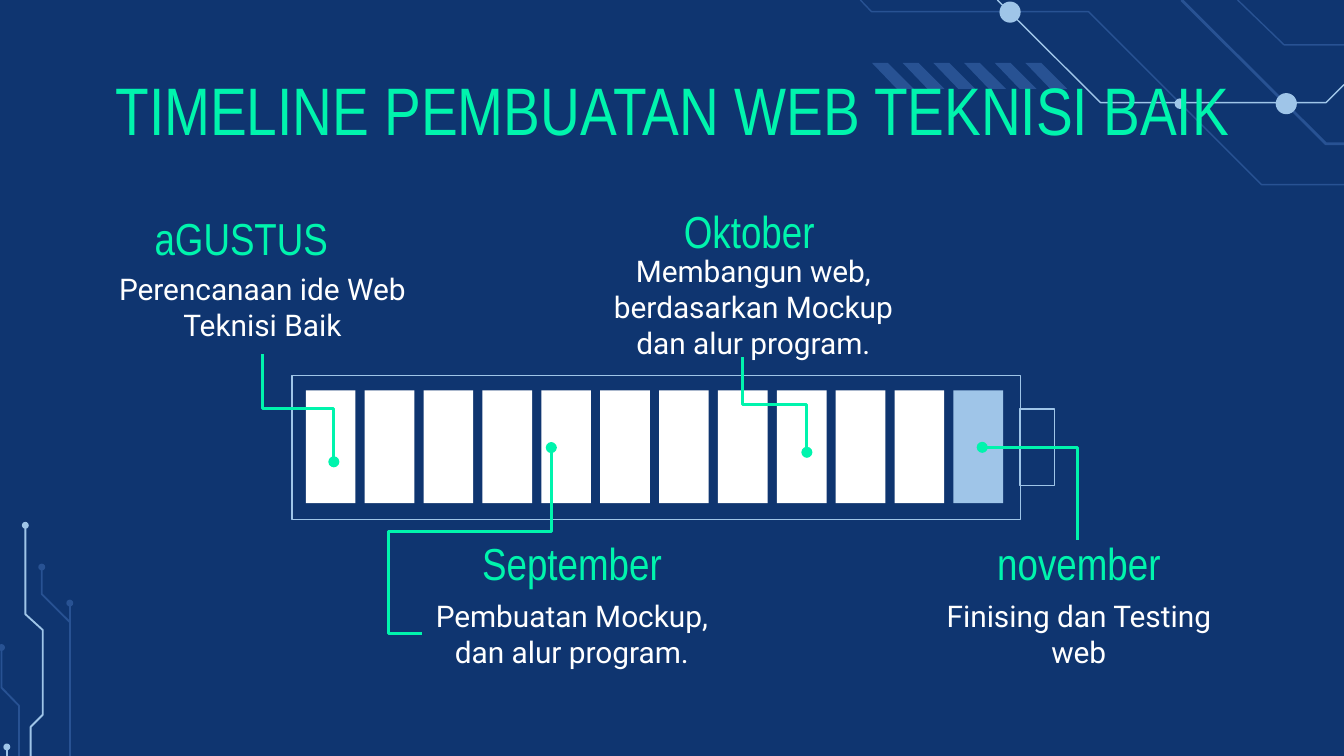
from dataclasses import dataclass

from lxml import etree
from pptx import Presentation
from pptx.dml.color import RGBColor
from pptx.enum.shapes import MSO_CONNECTOR, MSO_SHAPE
from pptx.enum.text import MSO_ANCHOR, PP_ALIGN
from pptx.oxml.ns import qn
from pptx.util import Cm, Pt

RECTANGLE, OVAL = MSO_SHAPE.RECTANGLE, MSO_SHAPE.OVAL
ELBOW = MSO_CONNECTOR.ELBOW
CENTER = PP_ALIGN.CENTER
TOP, MIDDLE = MSO_ANCHOR.TOP, MSO_ANCHOR.MIDDLE

COLOURS = {
    "navy": "0F3570",
    "dark": "285293",
    "light": "9FC5E8",
    "green": "00F4AD",
    "white": "FFFFFF",
}
HEADING_FONT, BODY_FONT = "Arial Narrow", "Roboto"
WIDTH, HEIGHT = 25.4, 14.29


@dataclass
class Trace:
    points: list[tuple[float, float]]
    colour: str
    width: float
    start_dot: bool = False


@dataclass
class Dot:
    x: float
    y: float
    size: float
    colour: str = "light"


@dataclass
class Month:
    name: str
    task: str
    width: float
    name_at: tuple[float, float]
    task_at: tuple[float, float]


@dataclass
class Link:
    left: float
    top: float
    width: float
    height: float
    rotation: int
    preset: str
    bends: tuple[float, ...] = ()


TRACES = [
    Trace([(22.33, 0), (25.06, 2.72), (WIDTH, 2.72)], "dark", 1.5),
    Trace([(18.85, 0), (20.8, 1.94), (25.06, 1.94), (WIDTH, 1.6)], "light", 0.75),
    Trace([(16.26, 0), (16.47, 0.22), (20.57, 0.22), (23.84, 3.49), (WIDTH, 3.49)], "dark", 0.75),
    Trace([(23.39, 0), (24.27, 0.85), (WIDTH, 0.85)], "dark", 0.75),
    Trace([(0.48, 9.93), (0.48, 11.61), (0.81, 11.91), (0.81, 13.51), (0.58, 13.74), (0.58, HEIGHT)],
          "light", 1, True),
    Trace([(1.32, 11.4), (1.32, HEIGHT)], "dark", 1, True),
    Trace([(0.79, 10.72), (0.79, 11.23), (1.32, 11.76)], "dark", 1, True),
    Trace([(0.03, 12.24), (0.03, 13), (0.36, 13.34), (0.36, HEIGHT)], "dark", 1, True),
    Trace([(0.13, 14.12), (0.13, HEIGHT)], "light", 1, True),
]
DOTS = [Dot(22.3, 1.96, 0.2), Dot(19.09, 0.23, 0.4), Dot(24.31, 1.96, 0.4)]
MONTHS = [
    Month("Oktober", "Membangun web, berdasarkan Mockup dan alur program.", 5.82, (11.25, 3.91), (11.33, 4.9)),
    Month("aGUSTUS", "Perencanaan ide Web Teknisi Baik", 5.66, (1.73, 4.04), (2.13, 4.9)),
    Month("november", "Finising dan Testing web", 5.82, (17.48, 10.19), (17.48, 11.07)),
    Month("September", "Pembuatan Mockup, dan alur program.", 5.66, (7.98, 10.19), (7.98, 11.07)),
]
LINKS = [
    Link(4.62, 7.04, 2.03, 1.35, 270, "bentConnector3", (0.5,)),
    Link(18.59, 8.43, 1.75, 1.8, 90, "bentConnector2"),
    Link(7.98, 8.46, 2.44, 3.51, 180, "bentConnector4", (-0.26, 0.55)),
    Link(13.74, 7.04, 1.8, 1.22, 270, "bentConnector3", (0.5,)),
]
HATCH_COUNT, HATCH_LEFT, HATCH_TOP, HATCH_PITCH = 6, 16.48, 1.19, 0.58
HATCH_OUTLINE = [(0, 0), (0.47, 0.49), (0.79, 0.49), (0.3, 0)]
BAR_COUNT, FIRST_BAR, LAST_BAR = 12, 5.78, 18.02


def rgb(colour: str) -> RGBColor:
    return RGBColor.from_string(COLOURS[colour])


def style(sp, fill: str | None = None, line: str | None = None, width: float = 0.75) -> None:
    sp.shadow.inherit = False
    if fill:
        sp.fill.solid()
        sp.fill.fore_color.rgb = rgb(fill)
    else:
        sp.fill.background()
    if line:
        sp.line.color.rgb = rgb(line)
        sp.line.width = Pt(width)
    else:
        sp.line.fill.background()


def add_outline(s, points: list[tuple[float, float]], close: bool):
    start, *rest = [(Cm(x), Cm(y)) for x, y in points]
    builder = s.shapes.build_freeform(*start)
    builder.add_line_segments(rest, close=close)
    return builder.convert_to_shape()


def add_dot(s, dot: Dot) -> None:
    sp = s.shapes.add_shape(OVAL, Cm(dot.x - dot.size / 2), Cm(dot.y - dot.size / 2), Cm(dot.size), Cm(dot.size))
    style(sp, fill=dot.colour)


def add_trace(s, trace: Trace) -> None:
    style(add_outline(s, trace.points, False), line=trace.colour, width=trace.width)
    if trace.start_dot:
        add_dot(s, Dot(*trace.points[0], 0.13, trace.colour))


def add_box(s, left: float, top: float, width: float, height: float,
            fill: str | None = None, line: str | None = None) -> None:
    sp = s.shapes.add_shape(RECTANGLE, Cm(left), Cm(top), Cm(width), Cm(height))
    style(sp, fill, line)


def add_text(s, text: str, left: float, top: float, width: float, height: float,
             size: float, font: str, colour: str, anchor: MSO_ANCHOR = MIDDLE) -> None:
    tf = s.shapes.add_textbox(Cm(left), Cm(top), Cm(width), Cm(height)).text_frame
    tf.word_wrap = True
    tf.margin_left = tf.margin_right = tf.margin_top = tf.margin_bottom = 0
    tf.vertical_anchor = anchor
    p = tf.paragraphs[0]
    p.text = text
    p.alignment = CENTER
    p.font.size = Pt(size)
    p.font.name = font
    p.font.color.rgb = rgb(colour)


def add_month(s, month: Month) -> None:
    add_text(s, month.task, *month.task_at, month.width, 1.8, 16, BODY_FONT, "white")
    add_text(s, month.name, *month.name_at, month.width, 0.89, 24, HEADING_FONT, "green")


def add_link(s, link: Link) -> None:
    cxn = s.shapes.add_connector(ELBOW, Cm(link.left + link.width), Cm(link.top),
                                 Cm(link.left), Cm(link.top + link.height))
    cxn.line.color.rgb = rgb("green")
    cxn.line.width = Pt(1.5)
    props = cxn.element.spPr
    props.find(qn("a:xfrm")).set("rot", str(link.rotation * 60000))
    geometry = props.find(qn("a:prstGeom"))
    geometry.set("prst", link.preset)
    for number, bend in enumerate(link.bends, 1):
        etree.SubElement(geometry.find(qn("a:avLst")), qn("a:gd"),
                         name=f"adj{number}", fmla=f"val {round(bend * 100000)}")
    etree.SubElement(props.find(qn("a:ln")), qn("a:tailEnd"), type="oval")
    etree.SubElement(props, qn("a:effectLst"))


def main() -> None:
    prs = Presentation()
    prs.slide_width, prs.slide_height = Cm(WIDTH), Cm(HEIGHT)
    s = prs.slides.add_slide(prs.slide_layouts[6])
    s.background.fill.solid()
    s.background.fill.fore_color.rgb = rgb("navy")

    for trace in TRACES:
        add_trace(s, trace)
    for dot in DOTS:
        add_dot(s, dot)
    for i in range(HATCH_COUNT):
        left = HATCH_LEFT + i * HATCH_PITCH
        stripe = add_outline(s, [(left + x, HATCH_TOP + y) for x, y in HATCH_OUTLINE], True)
        style(stripe, fill="dark")

    add_text(s, "TIMELINE PEMBUATAN WEB TEKNISI BAIK", 2.01, 1.3, 21.41, 1.35, 36, HEADING_FONT, "green", TOP)

    add_box(s, 5.52, 7.1, 13.77, 2.72, line="light")
    add_box(s, 19.27, 7.73, 0.66, 1.45, line="light")
    pitch = (LAST_BAR - FIRST_BAR) / (BAR_COUNT - 1)
    for i in range(BAR_COUNT):
        add_box(s, FIRST_BAR + i * pitch, 7.38, 0.94, 2.13, fill="light" if i == BAR_COUNT - 1 else "white")

    for month in MONTHS:
        add_month(s, month)
    for link in LINKS:
        add_link(s, link)
    prs.save("out.pptx")


if __name__ == "__main__":
    main()
